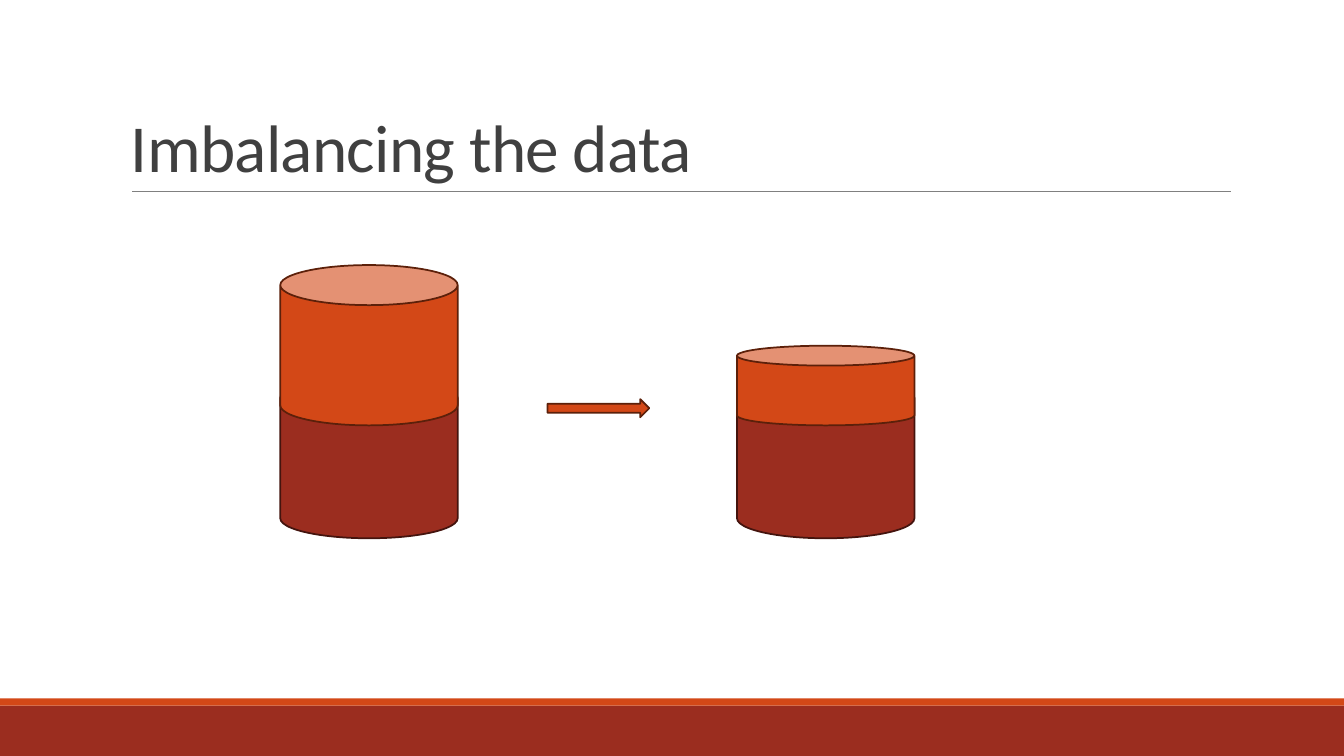
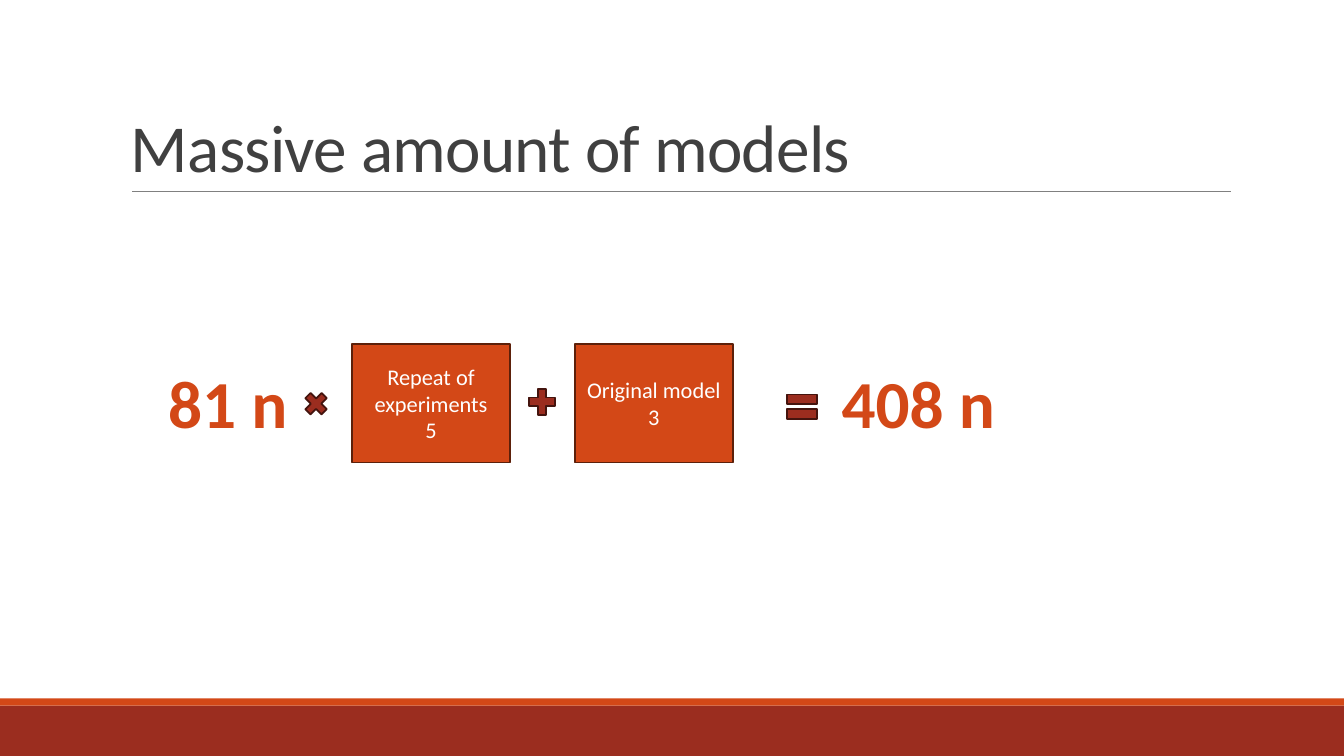
from pptx import Presentation
from pptx.dml.color import RGBColor
from pptx.enum.shapes import MSO_CONNECTOR, MSO_SHAPE
from pptx.enum.text import MSO_ANCHOR, PP_ALIGN
from pptx.oxml.ns import qn
from pptx.util import Inches, Pt
from lxml import etree

# Shared style
FONT = "Calibri"
ORANGE, RED = "D34817", "9B2D1F"
OUTLINES = {ORANGE: "5C200A", RED: "44140E"}
TITLE_COLOR, RULE_COLOR, WHITE = "404040", "808080", "FFFFFF"
SLIDE_WIDTH = 13.33


def add_filled_shape(slide, kind, box, fill, outlined=True):
    shape = slide.shapes.add_shape(kind, *[Inches(value) for value in box])
    shape.shadow.inherit = False
    shape.fill.solid()
    shape.fill.fore_color.rgb = RGBColor.from_string(fill)
    if outlined:
        shape.line.color.rgb = RGBColor.from_string(OUTLINES[fill])
        shape.line.width = Pt(1.25)
    else:
        shape.line.fill.background()
    return shape


def write_text(shape, text, size, color, bold=False, align=PP_ALIGN.LEFT, anchor=MSO_ANCHOR.TOP):
    text_frame = shape.text_frame
    text_frame.word_wrap = True
    text_frame.vertical_anchor = anchor
    text_frame.text = text
    for paragraph in text_frame.paragraphs:
        paragraph.alignment = align
        for run in paragraph.runs:
            run.font.name = FONT
            run.font.size = Pt(size)
            run.font.bold = bold
            run.font.color.rgb = RGBColor.from_string(color)


presentation = Presentation()
presentation.slide_width = Inches(SLIDE_WIDTH)
presentation.slide_height = Inches(7.5)

# Bands, title rule and title on every slide
slides = []
for title in ["Imbalancing the data", "Massive amount of models"]:
    slide = presentation.slides.add_slide(presentation.slide_layouts[6])
    slides.append(slide)
    for top, height, color in [(7, 0.5, RED), (6.93, 0.07, ORANGE)]:
        add_filled_shape(slide, MSO_SHAPE.RECTANGLE, (0, top, SLIDE_WIDTH, height), color, outlined=False)

    rule = slide.shapes.add_connector(
        MSO_CONNECTOR.STRAIGHT, Inches(1.31), Inches(1.9), Inches(12.21), Inches(1.9))
    rule.line.color.rgb = RGBColor.from_string(RULE_COLOR)
    rule.line.width = Pt(0.5)
    etree.SubElement(rule._element.spPr, qn("a:effectLst"))

    title_box = slide.shapes.add_textbox(Inches(1.2), Inches(0.31), Inches(11), Inches(1.59))
    write_text(title_box, title, 48, TITLE_COLOR, anchor=MSO_ANCHOR.BOTTOM)
    paragraph = title_box.text_frame.paragraphs[0]
    paragraph.line_spacing = 0.85
    paragraph.runs[0].font._element.set("spc", "-50")

data_slide, models_slide = slides

# Slide 1: two stacked cylinders, the upper part halved on the right
UPPER_BOTTOM = 4.22
for left, upper_height in [(2.78, 1.59), (7.31, 0.79)]:
    add_filled_shape(data_slide, MSO_SHAPE.CAN, (left, 3.75, 1.76, 1.59), RED)
    add_filled_shape(data_slide, MSO_SHAPE.CAN,
                     (left, UPPER_BOTTOM - upper_height, 1.76, upper_height), ORANGE)
add_filled_shape(data_slide, MSO_SHAPE.RIGHT_ARROW, (5.43, 3.96, 1.01, 0.18), ORANGE)

# Slide 2: numbers at both ends of the equation
for left, width, text in [(1.57, 1.41, "81 n"), (8.25, 3.95, "408 n")]:
    number_box = models_slide.shapes.add_textbox(Inches(left), Inches(3.54), Inches(width), Inches(0.91))
    write_text(number_box, text, 48, ORANGE, bold=True)

# Factor boxes
for left, text in [(3.49, "Repeat of experiments\n5"), (5.7, "Original model\n3")]:
    factor = add_filled_shape(models_slide, MSO_SHAPE.RECTANGLE, (left, 3.41, 1.57, 1.18), ORANGE)
    write_text(factor, text, 16, WHITE, align=PP_ALIGN.CENTER, anchor=MSO_ANCHOR.MIDDLE)

# Operators
for kind, left, top, size in [
    (MSO_SHAPE.MATH_MULTIPLY, 2.98, 3.85, 0.31),
    (MSO_SHAPE.MATH_PLUS, 5.2, 3.81, 0.35),
    (MSO_SHAPE.MATH_EQUAL, 7.75, 3.83, 0.41),
]:
    add_filled_shape(models_slide, kind, (left, top, size, size), RED)

presentation.save("out.pptx")
